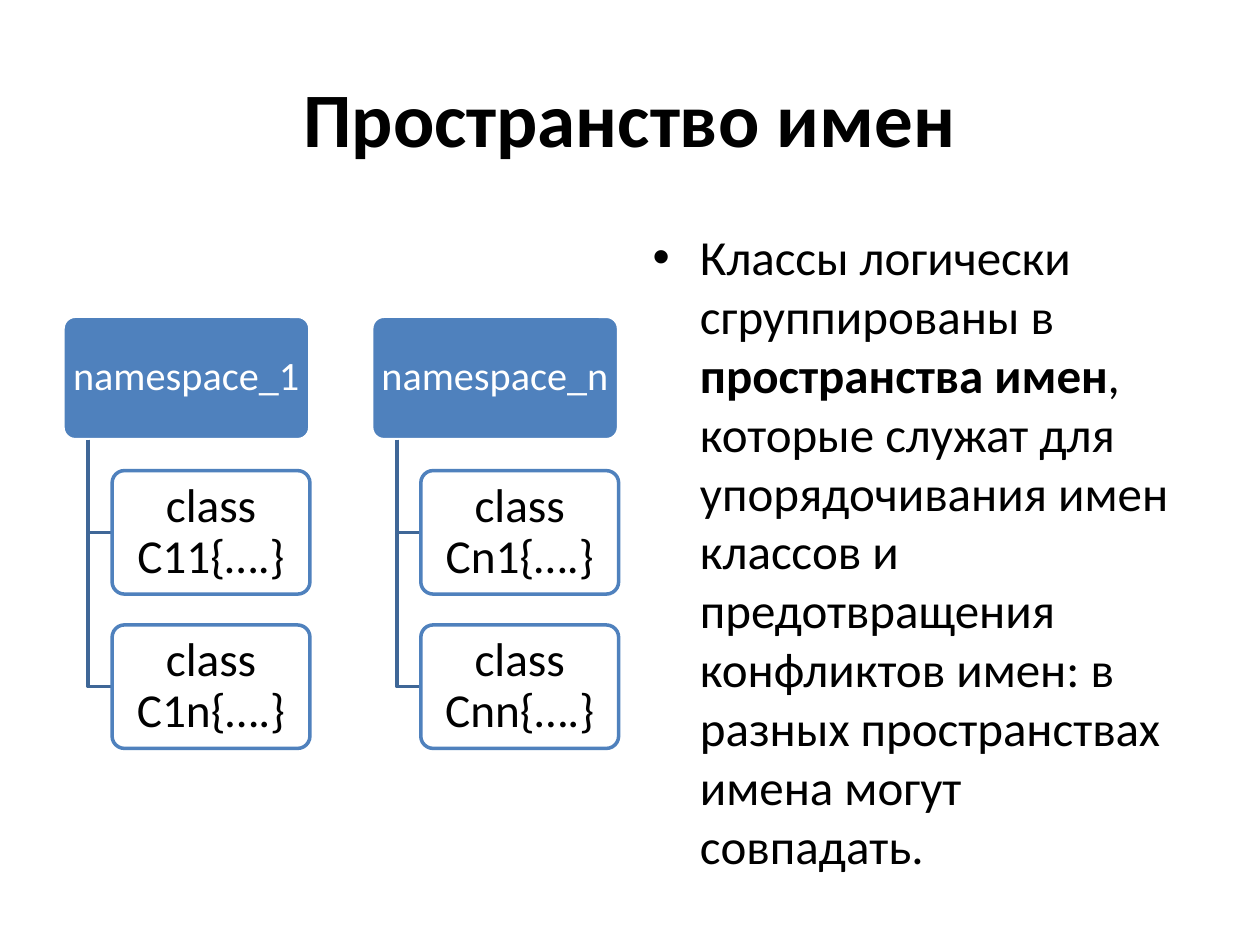
from lxml import etree
from pptx import Presentation
from pptx import util as u
from pptx.dml.color import RGBColor
from pptx.enum import shapes, text
from pptx.oxml import ns

BLUE = RGBColor(0x4F, 0x81, 0xBD)
DARK_BLUE = RGBColor(0x3F, 0x67, 0x97)
WHITE = RGBColor(0xFF, 0xFF, 0xFF)
BLACK = RGBColor(0x00, 0x00, 0x00)

NAMESPACES = [
    ("namespace_1", ["class C11{….}", "class C1n{….}"]),
    ("namespace_n", ["class Cn1{….}", "class Cnn{….}"]),
]
LEFT, TOP = 0.5, 2.51
COLUMN_STEP, ROW_STEP = 2.45, 1.225
HEAD_WIDTH, CLASS_WIDTH, BOX_HEIGHT = 1.96, 1.57, 0.98
TRUNK_INDENT, CLASS_INDENT = 0.2, 0.39


class SlideBuilder:
    font = "Calibri"
    line_width = u.Pt(2)

    def __init__(self, slide):
        self.slide = slide

    def add_run(self, para, words, size, color, bold=False):
        run = para.add_run()
        run.text = words
        run.font.name = self.font
        run.font.size = u.Pt(size)
        run.font.color.rgb = color
        run.font.bold = bold

    def fill_placeholder(self, holder, area, runs, size):
        """Move a placeholder and write (words, bold) runs into it."""
        holder.left, holder.top, holder.width, holder.height = map(u.Inches, area)
        frame = holder.text_frame
        frame.auto_size = text.MSO_AUTO_SIZE.NONE
        for words, bold in runs:
            self.add_run(frame.paragraphs[0], words, size, BLACK, bold)

    def box(self, left, top, width, words, size, colors, insets, alpha=None):
        """Add a rounded box; colors are fill, line and text."""
        fill, line, ink = colors
        box = self.slide.shapes.add_shape(
            shapes.MSO_SHAPE.ROUNDED_RECTANGLE,
            *map(u.Inches, (left, top, width, BOX_HEIGHT)))
        box.adjustments[0] = 0.1
        box.shadow.inherit = False
        box.fill.solid()
        box.fill.fore_color.rgb = fill
        if alpha:
            color = box.fill._xPr.find(".//" + ns.qn("a:srgbClr"))
            etree.SubElement(color, ns.qn("a:alpha"), val=str(alpha * 1000))
        box.line.color.rgb = line
        box.line.width = self.line_width
        frame = box.text_frame
        frame.word_wrap = True
        frame.vertical_anchor = text.MSO_ANCHOR.MIDDLE
        frame.margin_left = frame.margin_right = u.Inches(insets[0])
        frame.margin_top = frame.margin_bottom = u.Inches(insets[1])
        para = frame.paragraphs[0]
        para.alignment = text.PP_ALIGN.CENTER
        para.line_spacing = 0.9
        self.add_run(para, words, size, ink)

    def elbow(self, left, top, right, bottom):
        """Add a line going down, then right."""
        start, *corners = [(u.Inches(x), u.Inches(y)) for x, y in
                           ((left, top), (left, bottom), (right, bottom))]
        builder = self.slide.shapes.build_freeform(*start)
        builder.add_line_segments(corners, close=False)
        elbow = builder.convert_to_shape()
        elbow.shadow.inherit = False
        elbow.fill.background()
        elbow.line.color.rgb = DARK_BLUE
        elbow.line.width = self.line_width

    def namespace_tree(self, left, name, classes):
        self.box(left, TOP, HEAD_WIDTH, name, 23, (BLUE, WHITE, WHITE), (0.02, 0))
        for row, words in enumerate(classes, start=1):
            top = TOP + row * ROW_STEP
            class_left = left + CLASS_INDENT
            self.elbow(left + TRUNK_INDENT, TOP + BOX_HEIGHT,
                       class_left, top + BOX_HEIGHT / 2)
            self.box(class_left, top, CLASS_WIDTH, words, 27,
                     (WHITE, BLUE, BLACK), (0.03, 0.01), alpha=90)


def main():
    deck = Presentation()
    deck.slide_width, deck.slide_height = u.Inches(10), u.Inches(7.5)
    slide = deck.slides.add_slide(deck.slide_layouts[1])
    builder = SlideBuilder(slide)
    builder.fill_placeholder(slide.shapes.title, (0.5, 0.3, 9, 1.25),
                             [("Пространство имен", True)], 44)
    body = slide.placeholders[1]
    builder.fill_placeholder(body, (5.08, 1.75, 4.42, 4.95), [
        ("Классы логически сгруппированы в ", False),
        ("пространства имен", True),
        (", которые служат для упорядочивания имен классов и предотвращения "
         "конфликтов имен: в разных пространствах имена могут совпадать.", False),
    ], 28)
    body.text_frame.paragraphs[0].space_before = u.Pt(0)
    for column, (name, classes) in enumerate(NAMESPACES):
        builder.namespace_tree(LEFT + column * COLUMN_STEP, name, classes)
    deck.save("out.pptx")


if __name__ == "__main__":
    main()
